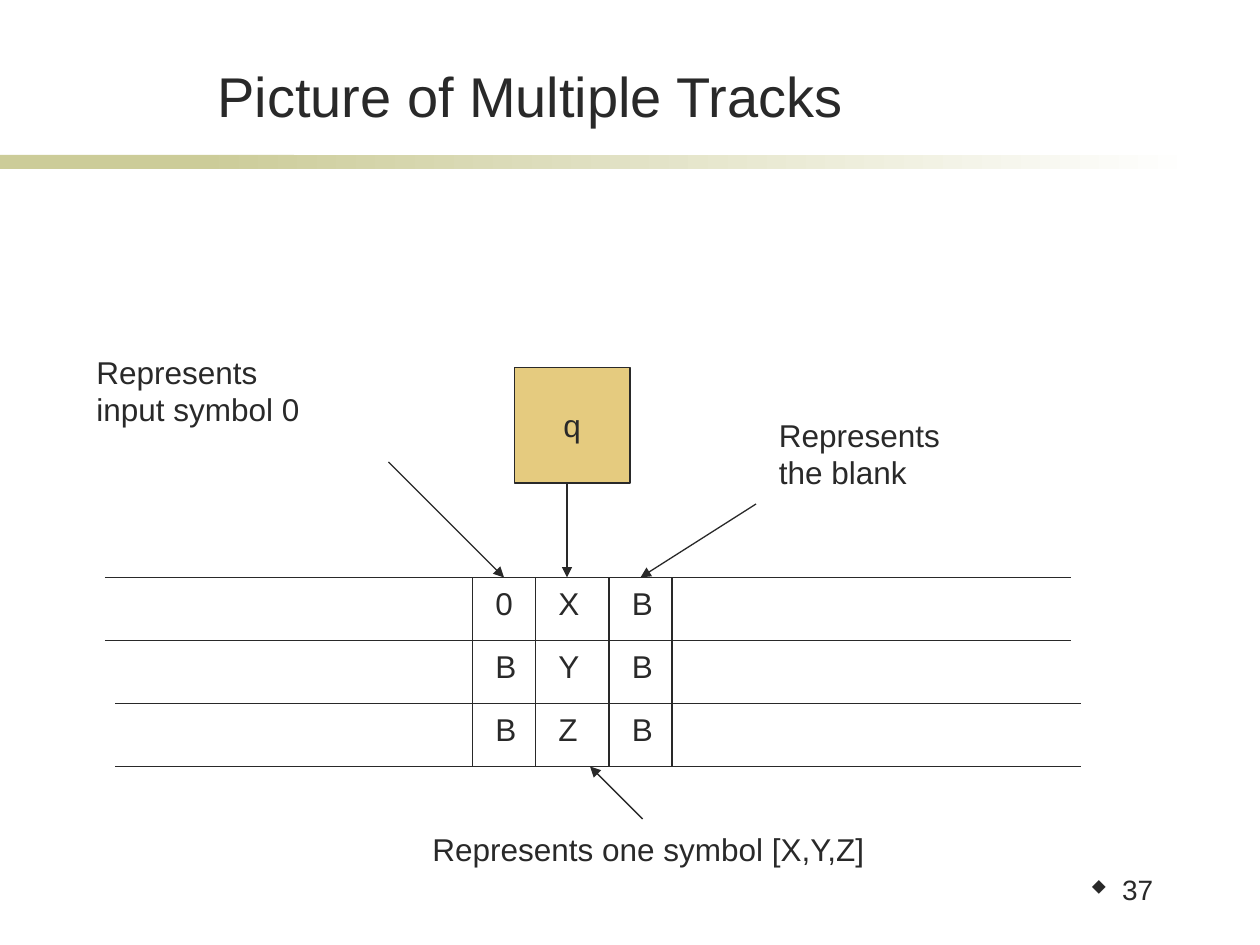
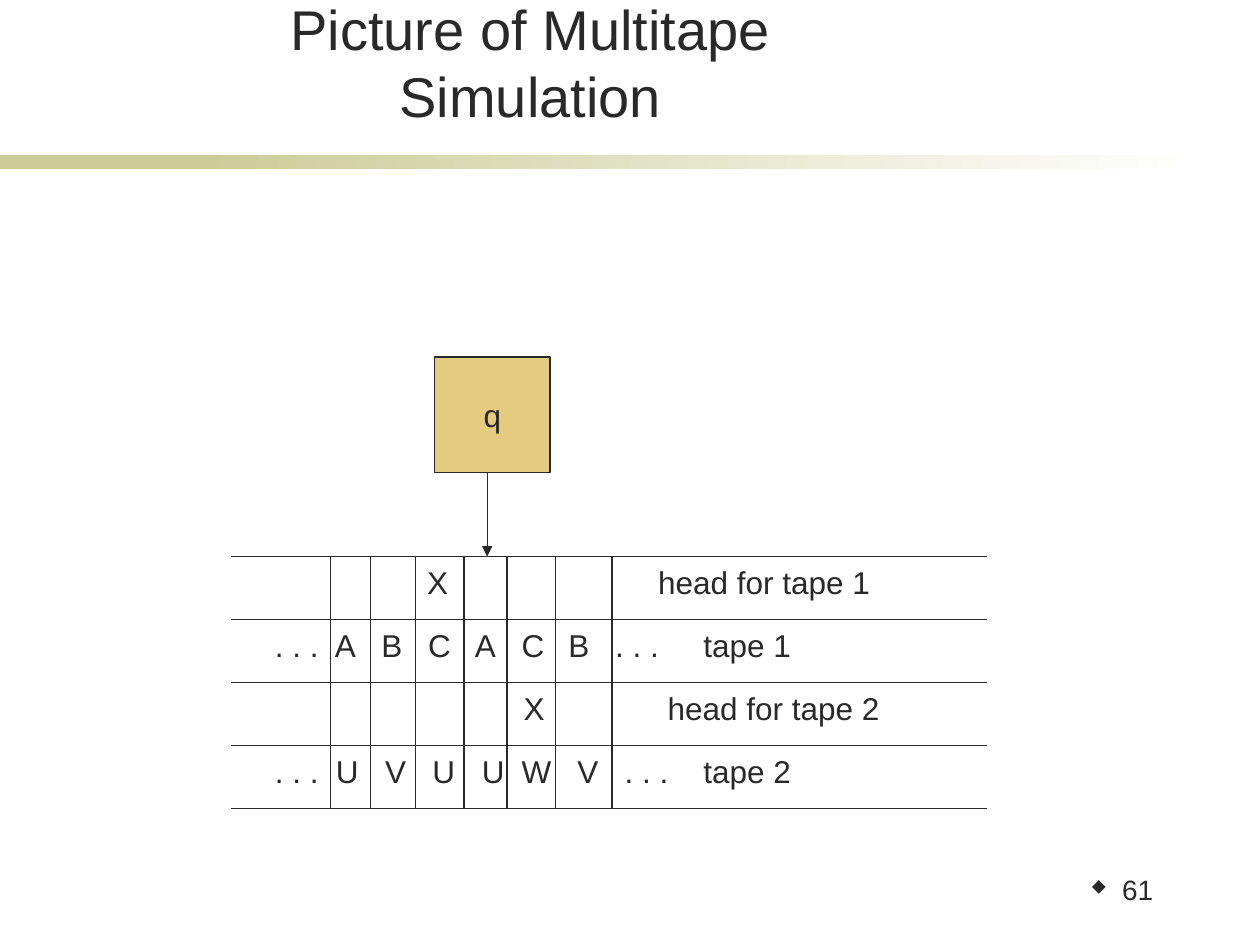
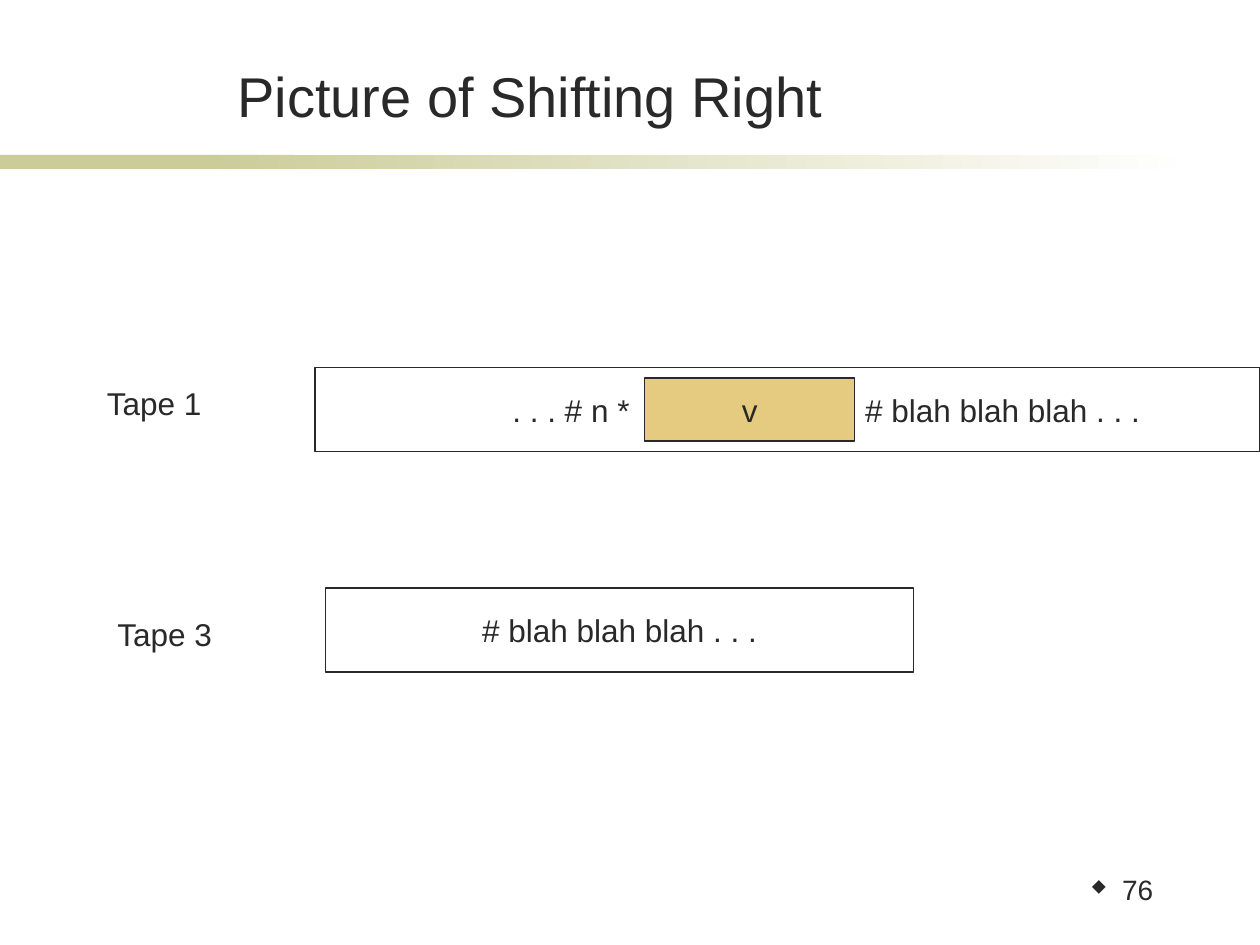
from dataclasses import dataclass
from typing import NamedTuple

from lxml import etree
from pptx import Presentation
from pptx.dml.color import RGBColor
from pptx.enum.shapes import MSO_CONNECTOR, MSO_SHAPE
from pptx.enum.text import MSO_ANCHOR, MSO_AUTO_SIZE, PP_ALIGN
from pptx.oxml.ns import qn
from pptx.util import Emu, Inches, Pt

RECTANGLE = MSO_SHAPE.RECTANGLE
STRAIGHT = MSO_CONNECTOR.STRAIGHT
LEFT, CENTER, RIGHT = PP_ALIGN.LEFT, PP_ALIGN.CENTER, PP_ALIGN.RIGHT
TOP, MIDDLE, BOTTOM = MSO_ANCHOR.TOP, MSO_ANCHOR.MIDDLE, MSO_ANCHOR.BOTTOM
NO_AUTOFIT = MSO_AUTO_SIZE.NONE
TITLE_ONLY = 5

# The page is a grid of 120 columns by 90 rows, twelve to the inch.
COLUMNS, ROWS, PER_INCH = 120, 90, 12
INSET = 1.2


@dataclass(frozen=True)
class Theme:
    font: str = "Arial"
    bullet_font: str = "Wingdings"
    bullet: str = "u"  # the diamond of the bullet font
    ink: RGBColor = RGBColor(0x29, 0x29, 0x29)
    band: RGBColor = RGBColor(0xCC, 0xCC, 0x99)
    paper: RGBColor = RGBColor(0xFF, 0xFF, 0xFF)
    gold: RGBColor = RGBColor(0xCC, 0x99, 0x00)
    title_size: int = 32
    body_size: int = 18
    number_size: int = 16
    line_width: float = 0.75


class Area(NamedTuple):
    left: float
    top: float
    width: float
    height: float


class Segment(NamedTuple):
    x1: float
    y1: float
    x2: float
    y2: float


class Mark(NamedTuple):
    """A word and the column where it starts."""
    column: float
    word: str


class Label(NamedTuple):
    area: Area
    lines: tuple[str, ...]


THEME = Theme()
TITLE_AREA = Area(13.68, 5.28, 73.68, 7.56)
NUMBER_AREA = Area(98.76, 82.9, 12.24, 6)
SOLID_BAND = Area(0, 14.76, 28, 1.32)
FADING_BAND = Area(19, 14.76, 95, 1.32)


def grid(units: float) -> Emu:
    return Emu(round(units * Inches(1) / PER_INCH))


def place(area: Area) -> list[Emu]:
    return [grid(units) for units in area]


def add_run(para, text: str, size: int = THEME.body_size) -> None:
    span = para.add_run()
    span.text = text
    span.font.name = THEME.font
    span.font.size = Pt(size)
    span.font.color.rgb = THEME.ink


def add_lines(frame, lines: tuple[str, ...], align=LEFT, anchor=TOP) -> None:
    frame.word_wrap = True
    frame.vertical_anchor = anchor
    for index, line in enumerate(lines):
        para = frame.add_paragraph() if index else frame.paragraphs[0]
        para.alignment = align
        add_run(para, line)


def add_marks(frame, marks: list[Mark]) -> None:
    """Write words in one paragraph, each after the first on its own tab stop."""
    frame.word_wrap = True
    para = frame.paragraphs[0]
    para.alignment = LEFT
    start = marks[0].column
    tabs = etree.SubElement(para._p.get_or_add_pPr(), qn("a:tabLst"))
    for mark in marks[1:]:
        position = str(int(grid(mark.column - start)))
        etree.SubElement(tabs, qn("a:tab"), pos=position, algn="l")
    for index, mark in enumerate(marks):
        add_run(para, ("\t" if index else "") + mark.word)


def add_label(page, label: Label) -> None:
    box = page.shapes.add_textbox(*place(label.area))
    add_lines(box.text_frame, label.lines)


def add_track(page, marks: list[Mark], top: float, right: float) -> None:
    left = marks[0].column - INSET
    box = page.shapes.add_textbox(*place(Area(left, top, right - left, 6)))
    add_marks(box.text_frame, marks)


def add_box(page, area: Area, text: str = "", golden: bool = False):
    box = page.shapes.add_shape(RECTANGLE, *place(area))
    box.shadow.inherit = False
    if golden:
        box.fill.solid()
        box.fill.fore_color.rgb = THEME.gold
        color = box.element.find(".//" + qn("a:srgbClr"))
        etree.SubElement(color, qn("a:alpha"), val="50000")
    else:
        box.fill.background()
    box.line.color.rgb = THEME.ink
    box.line.width = Pt(THEME.line_width)
    if text:
        add_lines(box.text_frame, (text,), CENTER, MIDDLE)
    return box


def add_line(page, segment: Segment, arrow: bool = False) -> None:
    line = page.shapes.add_connector(STRAIGHT, *place(segment))
    line.line.color.rgb = THEME.ink
    line.line.width = Pt(THEME.line_width)
    if arrow:
        outline = line.element.find(".//" + qn("a:ln"))
        etree.SubElement(outline, qn("a:tailEnd"), type="triangle")
    etree.SubElement(line.element.spPr, qn("a:effectLst"))


def add_bands(page) -> None:
    """Draw the two title bands and hand them to the layout all slides share."""
    solid, fading = (page.shapes.add_shape(RECTANGLE, *place(area))
                     for area in (SOLID_BAND, FADING_BAND))
    solid.fill.solid()
    solid.fill.fore_color.rgb = THEME.band
    fading.fill.gradient()
    fading.fill.gradient_angle = 0
    stops = zip(fading.fill.gradient_stops, (THEME.band, THEME.paper), (0, 1))
    for stop, color, position in stops:
        stop.color.rgb = color
        stop.position = position
    for index, band in enumerate((solid, fading)):
        band.shadow.inherit = False
        band.line.fill.background()
        page.slide_layout.shapes.element.insert(2 + index, band.element)


def add_number(page, number: int) -> None:
    box = page.shapes.add_textbox(*place(NUMBER_AREA))
    box.text_frame.word_wrap = True
    para = box.text_frame.paragraphs[0]
    para.alignment = RIGHT
    para.line_spacing = 0.9
    properties = para._p.get_or_add_pPr()
    properties.set("marL", str(int(Inches(0.25))))
    properties.set("indent", str(-int(Inches(0.25))))
    color = etree.SubElement(properties, qn("a:buClr"))
    etree.SubElement(color, qn("a:srgbClr"), val=str(THEME.ink))
    etree.SubElement(properties, qn("a:buSzPct"), val="60000")
    etree.SubElement(properties, qn("a:buFont"), typeface=THEME.bullet_font,
                     pitchFamily="2", charset="2")
    etree.SubElement(properties, qn("a:buChar"), char=THEME.bullet)
    add_run(para, str(number), THEME.number_size)


def add_page(deck, title: str, number: int):
    page = deck.slides.add_slide(deck.slide_layouts[TITLE_ONLY])
    holder = page.shapes.title
    holder.left, holder.top, holder.width, holder.height = place(TITLE_AREA)
    frame = holder.text_frame
    frame.auto_size = NO_AUTOFIT
    frame.word_wrap = True
    frame.vertical_anchor = BOTTOM
    frame.paragraphs[0].alignment = CENTER
    add_run(frame.paragraphs[0], title, THEME.title_size)
    add_number(page, number)
    return page


def add_head(page, left: float, top: float, tape_top: float) -> None:
    """Draw the state box with its arrow down to the tape."""
    side = 11
    add_box(page, Area(left, top, side, side), "q", golden=True)
    center = left + 5
    add_line(page, Segment(center, top + side, center, tape_top), arrow=True)


def build_tracks(page) -> None:
    top, pitch = 55, 6
    bottom = top + 3 * pitch
    add_head(page, 49, 35, top)
    for row, left in enumerate((10, 10, 11, 11)):
        y = top + row * pitch
        add_line(page, Segment(left, y, left + 92, y))
    for x in (45, 51, 58, 64):
        add_line(page, Segment(x, top, x, bottom))
    for left, symbols in ((46, "0BB"), (52, "XYZ"), (59, "BBB")):
        for row, symbol in enumerate(symbols):
            add_label(page, Label(Area(left, top + row * pitch, 4.8, 6), (symbol,)))
    callouts = (
        (Label(Area(40, 78.5, 57, 6), ("Represents one symbol [X,Y,Z]",)),
         Segment(61.2, 78, 56.2, bottom)),
        (Label(Area(8, 33, 28.4, 10.8), ("Represents", "input symbol 0")),
         Segment(37, 44, 48, top)),
        (Label(Area(73, 39, 22, 10.8), ("Represents", "the blank")),
         Segment(72, 48, 61, top)),
    )
    for label, pointer in callouts:
        add_label(page, label)
        add_line(page, pointer, arrow=True)


def build_multitape(page) -> None:
    top, pitch, left, right = 53, 6, 22, 94
    dots = ". . ."
    tape_1 = [Mark(31.9 + 4.45 * i, word) for i, word in enumerate([*"ABCACB", dots])]
    tape_2 = [Mark(column, word) for column, word in zip(
        (32, 36.7, 41.2, 45.9, 49.7, 55, 59.5), [*"UVUUWV", dots])]
    tracks = (
        [Mark(40.7, "X"), Mark(62.7, "head for tape 1")],
        [Mark(26.2, dots), *tape_1, Mark(67, "tape 1")],
        [Mark(49.9, "X"), Mark(63.6, "head for tape 2")],
        [Mark(26.2, dots), *tape_2, Mark(67, "tape 2")],
    )
    add_head(page, 41.4, 34, top)
    for row in range(len(tracks) + 1):
        y = top + row * pitch
        add_line(page, Segment(left, y, right, y))
    for row, marks in enumerate(tracks):
        add_track(page, marks, top + row * pitch, right)
    for x in (31.5, 35.3, 39.6, 44.2, 48.3, 52.9, 58.3):
        add_line(page, Segment(x, top, x, top + len(tracks) * pitch))


def build_shifting(page) -> None:
    tape = Area(30, 35, 90, 8)
    marks = [Mark(48.8, ". . . # n *"), Mark(82.4, "# blah blah blah . . .")]
    frame = add_box(page, tape).text_frame
    frame.margin_left = grid(marks[0].column - tape.left)
    frame.vertical_anchor = MIDDLE
    add_marks(frame, marks)
    add_box(page, Area(31, 56, 56, 8), "# blah blah blah . . .")
    add_label(page, Label(Area(9, 36, 14.6, 6), ("Tape 1",)))
    add_label(page, Label(Area(10, 58, 14.6, 6), ("Tape 3",)))
    add_box(page, Area(61.4, 36, 20, 6), "v", golden=True)


def main() -> None:
    deck = Presentation()
    deck.slide_width, deck.slide_height = grid(COLUMNS), grid(ROWS)
    pages = (
        ("Picture of Multiple Tracks", 37, build_tracks),
        ("Picture of Multitape Simulation", 61, build_multitape),
        ("Picture of Shifting Right", 76, build_shifting),
    )
    for title, number, build in pages:
        build(add_page(deck, title, number))
    add_bands(deck.slides[0])
    deck.save("out.pptx")


if __name__ == "__main__":
    main()
